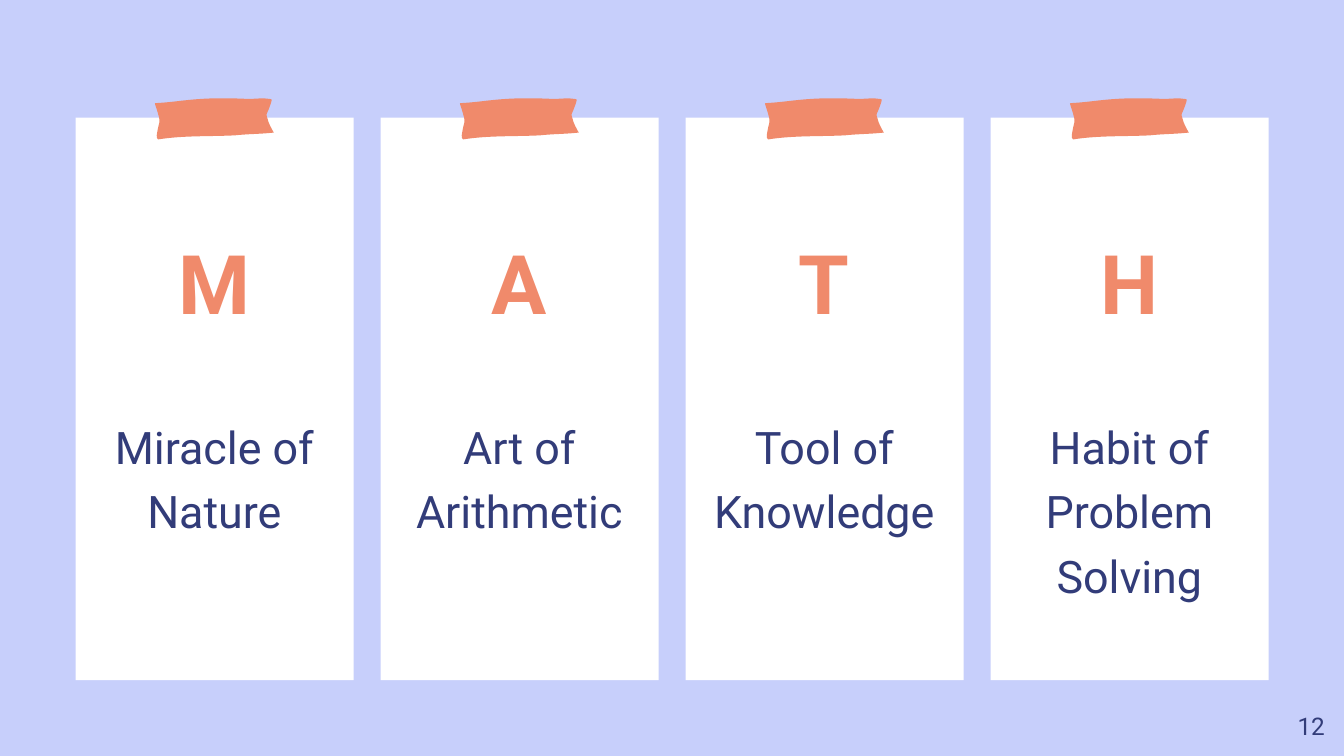
from lxml import etree
from pptx import Presentation
from pptx.dml.color import RGBColor
from pptx.enum.shapes import MSO_SHAPE
from pptx.enum.text import MSO_AUTO_SIZE, PP_ALIGN
from pptx.oxml.ns import qn
from pptx.util import Pt

RECT = MSO_SHAPE.RECTANGLE
CENTER, RIGHT = PP_ALIGN.CENTER, PP_ALIGN.RIGHT
FIT, NO_FIT = MSO_AUTO_SIZE.SHAPE_TO_FIT_TEXT, MSO_AUTO_SIZE.NONE

# Content: letter, phrase, number of lines
CARDS = [
    ("M", "Miracle of Nature", 2),
    ("A", "Art of Arithmetic", 2),
    ("T", "Tool of Knowledge", 2),
    ("H", "Habit of Problem Solving", 3),
]
PAGE_NUMBER = "12"

FONT = "Roboto"
COLORS = {"back": "C7CFFB", "card": "FFFFFF", "tape": "F08A6B", "text": "323C79"}

# Layout in points
CARD_LEFT, CARD_TOP, CARD_W, CARD_H, PITCH = 40.5, 63, 149, 301.4, 163.4
TEXT_W, LINE_H = 130.3, 34.9
LETTER_TOP, LETTER_H, PHRASE_TOP = 114.2, 64, 219
TAPE_DX, TAPE_TOP, TAPE_TURN = 42.8, 52.4, -2.9

# Tape outline: start point, then Bezier curves (two controls and an end)
TAPE_START = (62.9, 20.3)
TAPE_CURVES = [
    ((62.3, 18.9), (61.6, 18.1), (60.3, 14.4)),
    ((59.2, 9.3), (59, 11.5), (60.7, 7.9)),
    ((63.1, 2.3), (63.1, 2.3), (61.7, 2.2)),
    ((58.1, 1.3), (53.8, 1.8), (50.2, 1.6)),
    ((22.2, -1.2), (15.5, 1.3), (0.4, 1.3)),
    ((-0.3, 1.2), (0.3, 2), (1.5, 7.1)),
    ((2.7, 12.9), (2.1, 9.3), (0.2, 18.6)),
    ((0.2, 19.3), (0.1, 20.7), (0.8, 20.8)),
    ((14.6, 19.3), (28.3, 20.7), (42, 20.7)),
    ((48.5, 20.3), (55.7, 20.7), (62.2, 20.3)),
    ((62.6, 20.5), (62.9, 20.3), (62.9, 20.3)),
]
UNITS = 100  # outline units per point


def rgb(name):
    return RGBColor.from_string(COLORS[name])


def paint(sp, color):
    sp.fill.solid()
    sp.fill.fore_color.rgb = rgb(color)
    sp.line.fill.background()
    sp.shadow.inherit = False


def add_card(slide, left):
    sp = slide.shapes.add_shape(RECT, Pt(left), Pt(CARD_TOP), Pt(CARD_W), Pt(CARD_H))
    paint(sp, "card")


def add_tape(slide, left, top):
    x, y = TAPE_START
    builder = slide.shapes.build_freeform(x * UNITS, y * UNITS, scale=Pt(1) / UNITS)
    builder.add_line_segments(
        [(px * UNITS, py * UNITS) for curve in TAPE_CURVES for px, py in curve])
    sp = builder.convert_to_shape(Pt(left), Pt(top))
    # Turn every three line segments into one curve
    lines = list(sp.element.iter(qn("a:lnTo")))
    for i in range(0, 3 * len(TAPE_CURVES), 3):
        curve = etree.Element(qn("a:cubicBezTo"))
        lines[i].addprevious(curve)
        for line in lines[i:i + 3]:
            curve.append(line[0])
            line.getparent().remove(line)
    sp.rotation = TAPE_TURN
    paint(sp, "tape")


def add_text(slide, text, box, size, color, align=CENTER, bold=False,
             inset=0, spacing=1.2, fit=FIT):
    tf = slide.shapes.add_textbox(*map(Pt, box)).text_frame
    tf.word_wrap = True
    tf.auto_size = fit
    tf.margin_left = tf.margin_right = tf.margin_top = tf.margin_bottom = Pt(inset)
    tf.text = text
    p = tf.paragraphs[0]
    p.alignment = align
    p.line_spacing = spacing
    font = p.runs[0].font
    font.name, font.size, font.bold = FONT, Pt(size), bold
    font.color.rgb = rgb(color)


def main():
    prs = Presentation()
    prs.slide_width, prs.slide_height = Pt(720), Pt(405)
    slide = prs.slides.add_slide(prs.slide_layouts[6])
    slide.background.fill.solid()
    slide.background.fill.fore_color.rgb = rgb("back")

    # Cards, then their tapes
    lefts = [CARD_LEFT + i * PITCH for i in range(len(CARDS))]
    for left in lefts:
        add_card(slide, left)
    for left in lefts:
        add_tape(slide, left + TAPE_DX, TAPE_TOP)

    # Letters and phrases
    for left, (letter, phrase, lines) in zip(lefts, CARDS):
        x = left + (CARD_W - TEXT_W) / 2 - 0.2
        add_text(slide, letter, (x, LETTER_TOP, TEXT_W, LETTER_H), 44, "tape", bold=True)
        add_text(slide, phrase, (x, PHRASE_TOP, TEXT_W, lines * LINE_H), 24, "text")

    # Page number
    add_text(slide, PAGE_NUMBER, (673.6, 373.7, 43.2, 31), 13, "text",
             align=RIGHT, inset=7.2, spacing=1.0, fit=NO_FIT)

    prs.save("out.pptx")


if __name__ == "__main__":
    main()
